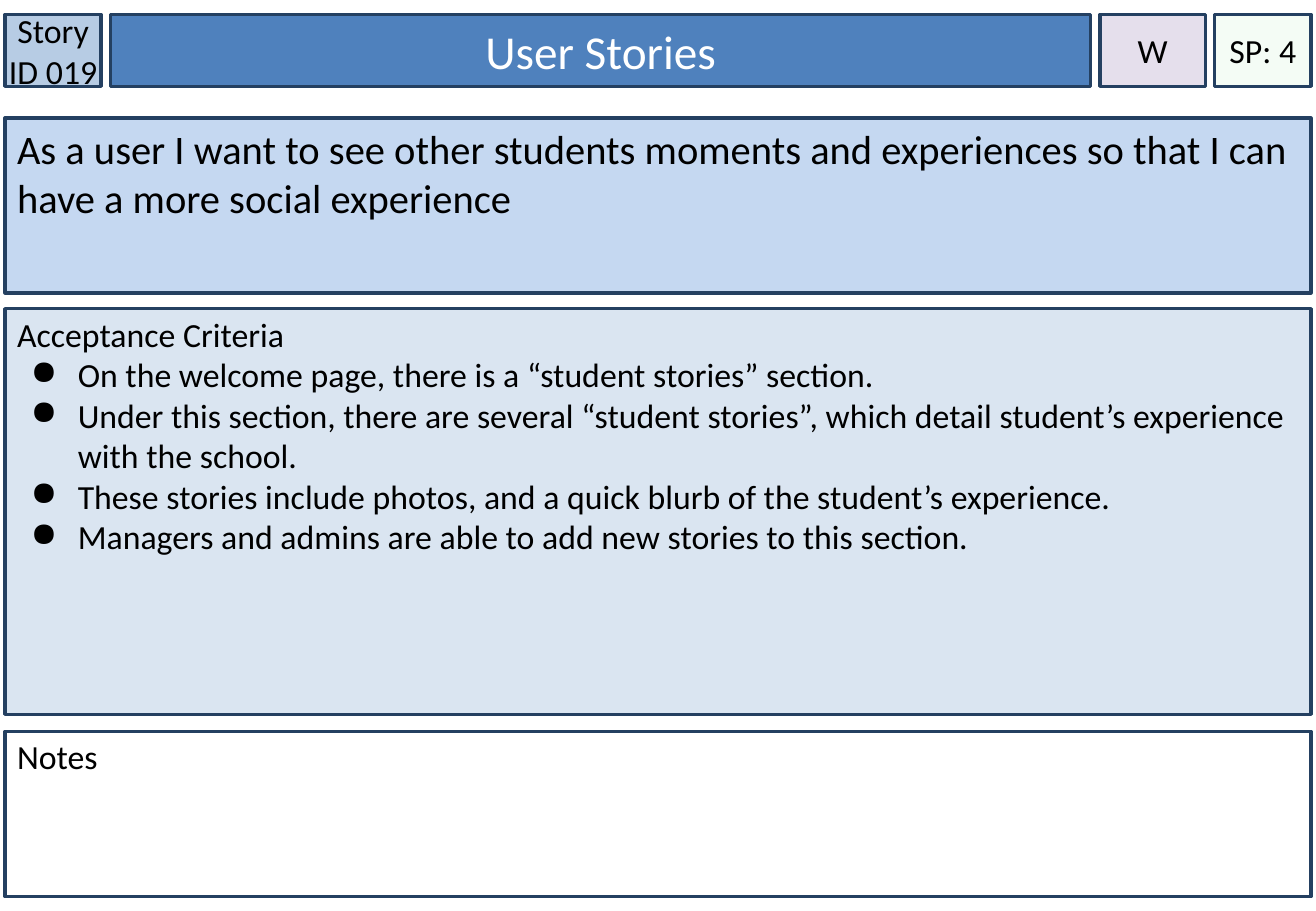
"""Build a user story card with a header row and three stacked panels."""
from lxml import etree
from pptx import Presentation
from pptx.dml.color import RGBColor
from pptx.enum import shapes, text
from pptx.oxml.ns import qn
from pptx.util import Pt

COLORS = {
    "black": "000000", "white": "FFFFFF", "border": "244061",
    "id": "B7CCE4", "title": "4F81BD", "priority": "E5DFEC",
    "points": "CCF0CD", "story": "C5D8F1", "criteria": "DAE5F1",
}
FONT = "Calibri"
LEFT, CARD_WIDTH = 3, 774
HEADER_TOP, HEADER_HEIGHT, HEADER_GAP = 8.6, 42.6, 5.5
BULLET_MARGIN, BULLET_INDENT = 36, -28

HEADER = [
    {"label": "Story ID 019", "width": 57, "fill": "id"},
    {"label": "User Stories", "width": 581, "fill": "title",
     "size": 28, "color": "white", "side": 7.2},
    {"label": "W", "width": 62.5, "fill": "priority"},
    {"label": "SP: 4", "width": 57, "fill": "points", "alpha": 20},
]
PANELS = [
    {"top": 70, "height": 103.7, "fill": "story", "size": 24, "inset": 3.6,
     "heading": "As a user I want to see other students moments and experiences "
                "so that I can have a more social experience"},
    {"top": 183, "height": 240.5, "fill": "criteria", "size": 20, "inset": 2.9,
     "heading": "Acceptance Criteria",
     "bullets": [
         "On the welcome page, there is a “student stories” section.",
         "Under this section, there are several “student stories”, "
         "which detail student’s experience with the school.",
         "These stories include photos, and a quick blurb of the student’s experience.",
         "Managers and admins are able to add new stories to this section.",
     ]},
    {"top": 433.5, "height": 98, "fill": "white", "size": 20, "inset": 2.9,
     "heading": "Notes"},
]


def rgb(name):
    """Return the named colour."""
    return RGBColor.from_string(COLORS[name])


def add_box(slide, left, top, width, height, fill, side=7.2, inset=3.6, alpha=None):
    """Add a bordered rectangle and return its text frame."""
    shape = slide.shapes.add_shape(
        shapes.MSO_SHAPE.RECTANGLE, Pt(left), Pt(top), Pt(width), Pt(height))
    shape.shadow.inherit = False
    shape.fill.solid()
    shape.fill.fore_color.rgb = rgb(fill)
    if alpha is not None:
        color = shape.element.spPr.find(qn("a:solidFill")).find(qn("a:srgbClr"))
        etree.SubElement(color, qn("a:alpha"), val=str(alpha * 1000))
    shape.line.color.rgb = rgb("border")
    shape.line.width = Pt(2)
    frame = shape.text_frame
    frame.word_wrap = True
    frame.margin_left = frame.margin_right = Pt(side)
    frame.margin_top, frame.margin_bottom = Pt(inset), Pt(3.6)
    return frame


def write(paragraph, words, size, color, alignment):
    """Add one formatted run to a paragraph."""
    paragraph.alignment = alignment
    run = paragraph.add_run()
    run.text = words
    run.font.name = FONT
    run.font.size = Pt(size)
    run.font.color.rgb = rgb(color)


def add_bullet(paragraph):
    """Give a paragraph a hanging round bullet."""
    properties = paragraph._p.get_or_add_pPr()
    properties.set("marL", str(Pt(BULLET_MARGIN)))
    properties.set("indent", str(Pt(BULLET_INDENT)))
    bullet_color = etree.SubElement(properties, qn("a:buClr"))
    etree.SubElement(bullet_color, qn("a:srgbClr"), val=COLORS["black"])
    etree.SubElement(properties, qn("a:buChar"), char="●")


def add_header(slide):
    """Lay the header cells out from left to right."""
    left = LEFT
    for cell in HEADER:
        frame = add_box(slide, left, HEADER_TOP, cell["width"], HEADER_HEIGHT,
                        cell["fill"], side=cell.get("side", 0), alpha=cell.get("alpha"))
        frame.vertical_anchor = text.MSO_ANCHOR.MIDDLE
        write(frame.paragraphs[0], cell["label"], cell.get("size", 20),
              cell.get("color", "black"), text.PP_ALIGN.CENTER)
        left += cell["width"] + HEADER_GAP


def add_panel(slide, panel):
    """Add a full-width panel with its heading and bullets."""
    frame = add_box(slide, LEFT, panel["top"], CARD_WIDTH, panel["height"],
                    panel["fill"], inset=panel["inset"])
    frame.vertical_anchor = text.MSO_ANCHOR.TOP
    write(frame.paragraphs[0], panel["heading"], panel["size"], "black", text.PP_ALIGN.LEFT)
    for words in panel.get("bullets", []):
        paragraph = frame.add_paragraph()
        write(paragraph, words, panel["size"], "black", text.PP_ALIGN.LEFT)
        add_bullet(paragraph)


def main():
    """Create and save the presentation."""
    presentation = Presentation()
    presentation.slide_width, presentation.slide_height = Pt(780), Pt(540)
    slide = presentation.slides.add_slide(presentation.slide_layouts[6])
    add_header(slide)
    for panel in PANELS:
        add_panel(slide, panel)
    presentation.save("out.pptx")


if __name__ == "__main__":
    main()
